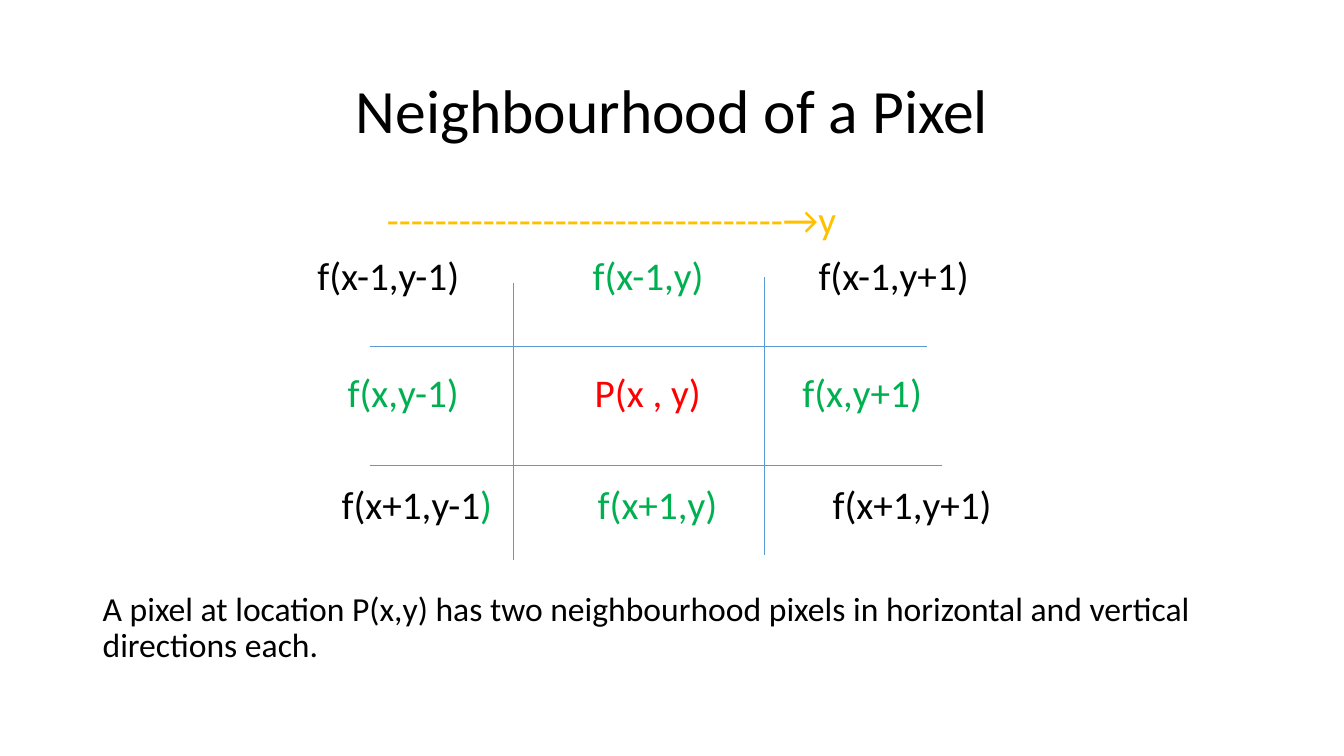
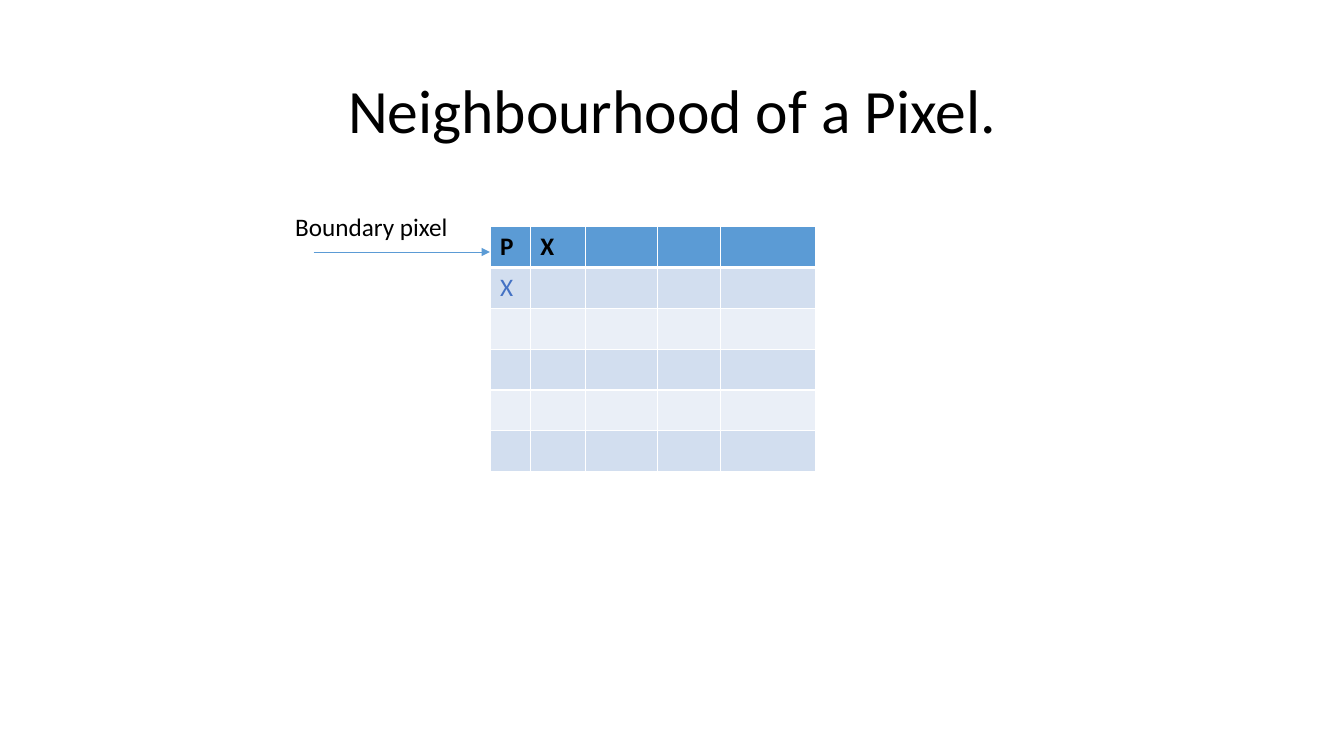
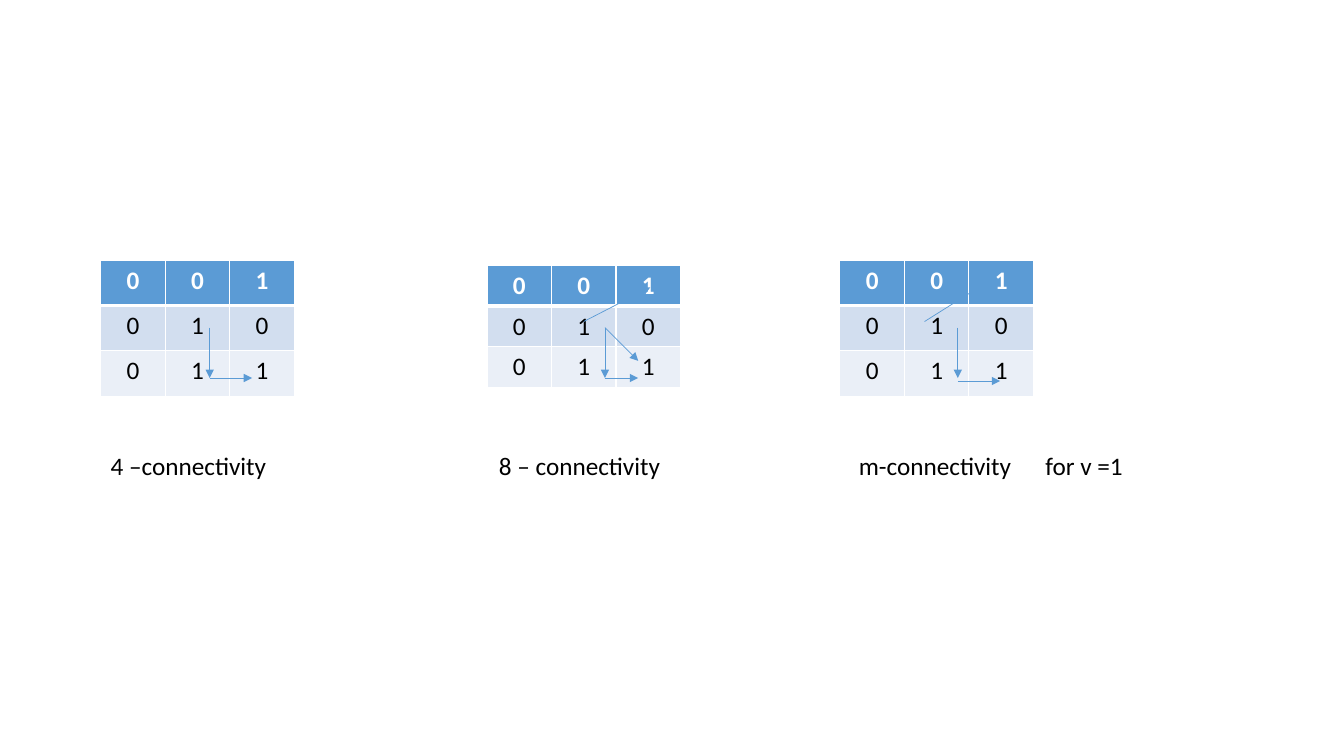
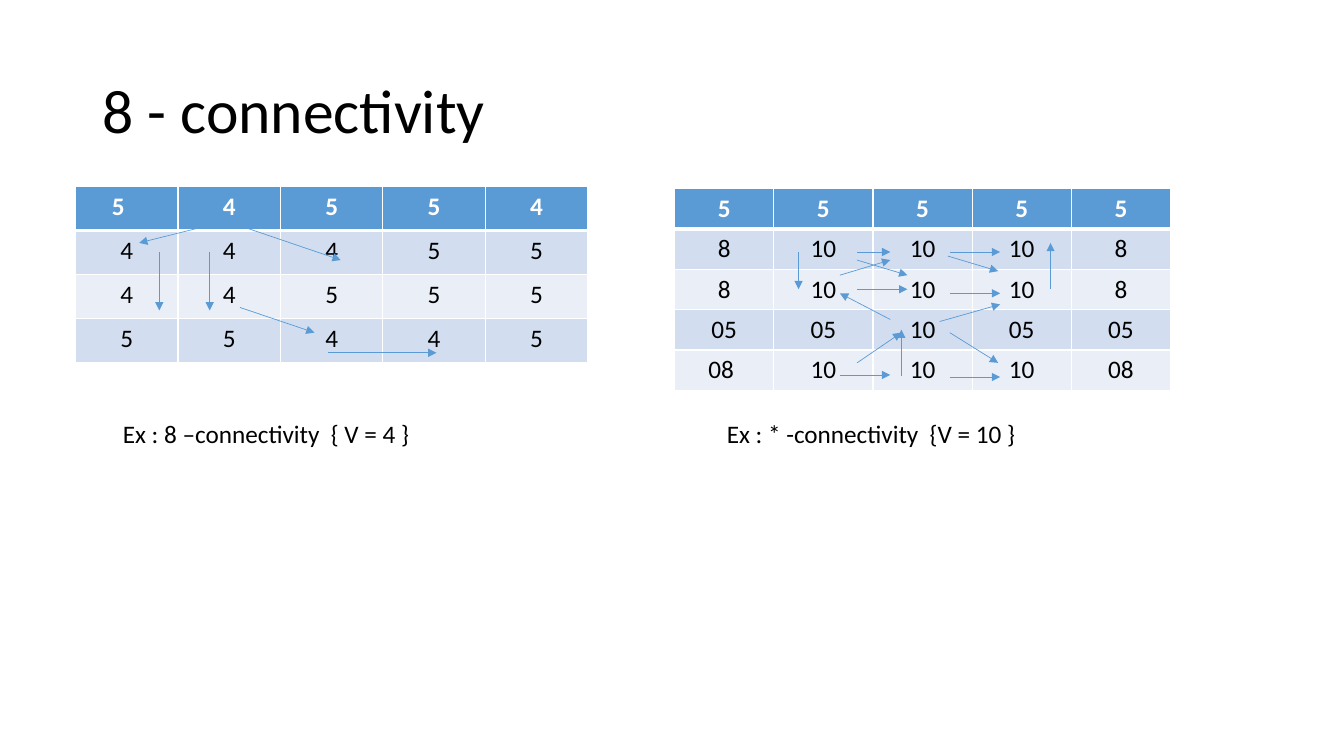
from lxml import etree
from pptx import Presentation
from pptx.dml import color as dml
from pptx.enum import shapes, text
from pptx.oxml import ns
from pptx.util import Inches, Pt

FONT = "Calibri"
BLACK, WHITE, GREEN, RED, GOLD = "000000", "FFFFFF", "00B050", "FF0000", "FFC000"
BLUE, PALE, PALER, INK_BLUE = "5B9BD5", "D2DEEF", "EAEFF7", "4472C4"
INSET = 0.1

NEIGHBOURS = [
    (0, 28, [(3.84, [("---------------------------------→y", GOLD)])]),
    (10, 28, [(3.15, [("f(x-1,y-1)", BLACK)]), (5.88, [("f(x-1,y)", GREEN)]),
              (8.12, [("f(x-1,y+1)", BLACK)])]),
    (53, 28, [(3.45, [("f(x,y-1)", GREEN)]), (5.9, [("P(x , y)", RED)]),
              (7.96, [("f(x,y+1)", GREEN)])]),
    (50, 28, [(3.39, [("f(x+1,y-1", BLACK), (")", GREEN)]), (5.93, [("f(x+1,y)", GREEN)]),
              (8.26, [("f(x+1,y+1)", BLACK)])]),
    (46, 24, [(None, [("A pixel at location P(x,y) has two neighbourhood pixels in "
                       "horizontal and vertical directions each.", BLACK)])]),
]
GRID_LINES = [(5.09, 2.81, 5.09, 5.56), (7.58, 2.75, 7.58, 5.51),
              (3.67, 3.44, 9.19, 3.44), (3.67, 4.62, 9.34, 4.62)]

BOUNDARY_ROWS = [["P", "X", "", "", ""], ["X", "", "", "", ""]] + [[""] * 5] * 4
BOUNDARY_COLUMNS = [0.4, 0.55, 0.71, 0.63, 0.94]

BINARY_ROWS = [["0", "0", "1"], ["0", "1", "0"], ["0", "1", "1"]]
BINARY_TABLES = [(1, 2.58, 0.45), (4.83, 2.63, 0.4), (8.33, 2.58, 0.45)]
BINARY_ARROWS = [
    (2.08, 3.75, 2.5, 3.75), (2.08, 3.25, 2.08, 3.75),
    (6, 3.25, 6, 3.75), (6, 3.75, 6.33, 3.75), (5.79, 3.19, 6.45, 2.85),
    (9.5, 3.25, 9.5, 3.75), (9.5, 3.78, 9.92, 3.78),
    (6, 3.25, 6.33, 3.58), (9.17, 3.19, 9.71, 2.85),
]
BINARY_CAPTIONS = [(None, "4 –connectivity"), (4.95, "8 – connectivity"),
                   (8.52, "m-connectivity"), (10.37, "for v =1")]

FOUR_ROWS = [["5", "4", "5", "5", "4"], ["4", "4", "4", "5", "5"],
             ["4", "4", "5", "5", "5"], ["5", "5", "4", "4", "5"]]
TEN_ROWS = [["5"] * 5, ["8", "10", "10", "10", "8"], ["8", "10", "10", "10", "8"],
            ["05", "05", "10", "05", "05"], ["08", "10", "10", "10", "08"]]
EXAMPLE_ARROWS = [
    (1.58, 2.5, 1.58, 3.08), (2.08, 2.5, 2.08, 3.08), (2.38, 2.16, 1.38, 2.41),
    (2.38, 2.24, 3.38, 2.58), (3.25, 3.5, 4.33, 3.5), (2.38, 3.05, 3.12, 3.3),
    (7.92, 2.5, 7.92, 2.87), (8.5, 2.5, 8.83, 2.5), (8.5, 2.87, 9, 2.87),
    (9.42, 2.5, 9.92, 2.5), (9.42, 2.91, 9.92, 2.91), (10.42, 2.87, 10.42, 2.41),
    (8.94, 3.73, 8.94, 3.27), (9.42, 3.74, 9.92, 3.74), (8.33, 3.72, 8.83, 3.72),
    (8.33, 2.73, 8.83, 2.58), (8.5, 2.58, 9, 2.73), (9.4, 2.54, 9.9, 2.69),
    (8.5, 3.6, 8.94, 3.3), (9.42, 3.3, 9.9, 3.6), (9.32, 3.19, 9.92, 3.02),
    (8.83, 3.17, 8.33, 2.91),
]
EXAMPLE_CAPTIONS = [(None, "Ex : 8 –connectivity  { V = 4 }"),
                    (7.21, "Ex : * -connectivity  {V = 10 }")]


def rgb(value):
    return dml.RGBColor.from_string(value)


def add_child(parent, tag, **attributes):
    return etree.SubElement(parent, ns.qn(tag), attributes)


def style_run(run, size, color, bold=False):
    run.font.name, run.font.size, run.font.bold = FONT, Pt(size), bold
    run.font.color.rgb = rgb(color)


def add_text_frame(slide, box):
    frame = slide.shapes.add_textbox(*map(Inches, box)).text_frame
    frame.word_wrap = True
    return frame


def add_title(slide, title, alignment=text.PP_ALIGN.CENTER):
    frame = add_text_frame(slide, (0.92, 0.4, 11.5, 1.45))
    frame.vertical_anchor = text.MSO_ANCHOR.MIDDLE
    frame.text = title
    paragraph = frame.paragraphs[0]
    paragraph.alignment, paragraph.line_spacing = alignment, 0.9
    style_run(paragraph.runs[0], 44, BLACK)


def fill_tabbed(paragraph, box_left, size, cells):
    stops = [left for left, _ in cells if left is not None]
    if stops:
        tabs = add_child(paragraph._p.get_or_add_pPr(), "a:tabLst")
        for left in stops:
            add_child(tabs, "a:tab", pos=str(Inches(left - box_left - INSET)), algn="l")
    for left, pieces in cells:
        for index, (words, color) in enumerate(pieces):
            run = paragraph.add_run()
            run.text = "\t" + words if index == 0 and left is not None else words
            style_run(run, size, color)


def add_captions(slide, box, captions):
    frame = add_text_frame(slide, box)
    cells = [(left, [(words, BLACK)]) for left, words in captions]
    fill_tabbed(frame.paragraphs[0], box[0], 18, cells)


def add_line(slide, points, arrow=True):
    line = slide.shapes.add_connector(shapes.MSO_CONNECTOR.STRAIGHT, *map(Inches, points))
    line.line.color.rgb = rgb(BLUE)
    line.line.width = Pt(0.5)
    if arrow:
        add_child(line.line._get_or_add_ln(), "a:tailEnd", type="triangle")
    add_child(line._element.spPr, "a:effectLst")


def add_borders(cell, row_index):
    properties = cell._tc.get_or_add_tcPr()
    widths = {"L": 1, "R": 1, "T": 3 if row_index == 1 else 1, "B": 3 if row_index == 0 else 1}
    for side, width in widths.items():
        border = add_child(properties, "a:ln" + side, w=str(Pt(width)))
        add_child(add_child(border, "a:solidFill"), "a:srgbClr", val=WHITE)


def add_grid(slide, left, top, columns, row_height, rows, header_color=WHITE,
             body_color=BLACK, alignment=text.PP_ALIGN.CENTER, right_margins=None):
    size = (sum(columns), row_height * len(rows))
    table = slide.shapes.add_table(len(rows), len(columns),
                                   *map(Inches, (left, top) + size)).table
    for column, width in zip(table.columns, columns):
        column.width = Inches(width)
    for row_index, row in enumerate(rows):
        table.rows[row_index].height = Inches(row_height)
        header = row_index == 0
        for column_index, value in enumerate(row):
            cell = table.cell(row_index, column_index)
            add_borders(cell, row_index)
            cell.fill.solid()
            cell.fill.fore_color.rgb = rgb(BLUE if header else PALE if row_index % 2 else PALER)
            cell.margin_right = Inches((right_margins or {}).get((row_index, column_index), INSET))
            cell.text = value
            paragraph = cell.text_frame.paragraphs[0]
            paragraph.alignment = alignment
            for run in paragraph.runs:
                style_run(run, 18, header_color if header else body_color, header)


def build_neighbourhood(slide):
    add_title(slide, "Neighbourhood of a Pixel")
    box = (0.92, 1.94, 11.5, 4.82)
    frame = add_text_frame(slide, box)
    for index, (space, size, cells) in enumerate(NEIGHBOURS):
        paragraph = frame.add_paragraph() if index else frame.paragraphs[0]
        paragraph.line_spacing = 0.9
        if space:
            paragraph.space_before = Pt(space)
        fill_tabbed(paragraph, box[0], size, cells)
    for points in GRID_LINES:
        add_line(slide, points, arrow=False)


def build_boundary(slide):
    add_title(slide, "Neighbourhood of a Pixel.")
    add_grid(slide, 4.86, 2.25, BOUNDARY_COLUMNS, 2.43 / 6, BOUNDARY_ROWS,
             BLACK, INK_BLUE, text.PP_ALIGN.LEFT)
    add_line(slide, (3.11, 2.5, 4.86, 2.5))
    add_captions(slide, (2.83, 2.05, 1.83, 0.4), [(None, "Boundary pixel")])


def build_connectivity(slide):
    for left, top, row_height in BINARY_TABLES:
        add_grid(slide, left, top, [0.64] * 3, row_height, BINARY_ROWS)
    for points in BINARY_ARROWS:
        add_line(slide, points)
    add_captions(slide, (1, 4.42, 10.33, 0.4), BINARY_CAPTIONS)


def build_examples(slide):
    add_title(slide, "8 - connectivity", text.PP_ALIGN.LEFT)
    add_grid(slide, 0.75, 1.85, [5.08 / 5] * 5, 1.75 / 4, FOUR_ROWS,
             right_margins={(0, 0): 0.27})
    add_grid(slide, 6.69, 1.87, [4.92 / 5] * 5, 0.4, TEN_ROWS,
             right_margins={(4, 0): 0.16})
    for points in EXAMPLE_ARROWS:
        add_line(slide, points)
    add_captions(slide, (1.12, 4.1, 10.5, 0.4), EXAMPLE_CAPTIONS)


def main():
    presentation = Presentation()
    presentation.slide_width, presentation.slide_height = Inches(13.33), Inches(7.5)
    for build in (build_neighbourhood, build_boundary, build_connectivity, build_examples):
        build(presentation.slides.add_slide(presentation.slide_layouts[6]))
    presentation.save("out.pptx")


if __name__ == "__main__":
    main()
